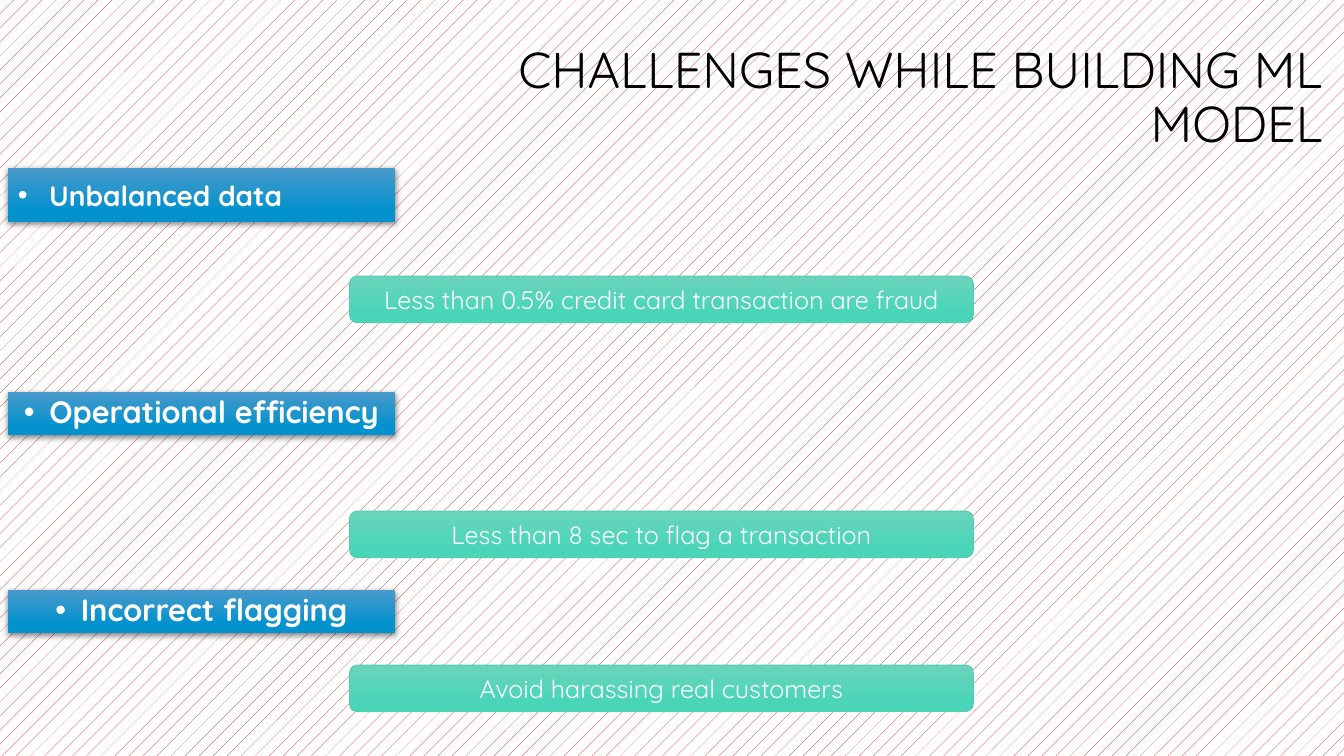
import pptx
import pptx.dml.color
import pptx.enum.dml
import pptx.enum.shapes
import pptx.enum.text
import pptx.oxml
import pptx.oxml.ns
import pptx.util

Cm = pptx.util.Cm
Pt = pptx.util.Pt
Shapes = pptx.enum.shapes.MSO_SHAPE
Align = pptx.enum.text.PP_ALIGN


def color(value):
    return pptx.dml.color.RGBColor.from_string(value)


def write(box, text, size, hue="FFFFFF", bold=False, align=Align.CENTER, spacing=1.0, indent=0):
    frame = box.text_frame
    frame.word_wrap = True
    frame.vertical_anchor = pptx.enum.text.MSO_ANCHOR.MIDDLE
    para = frame.paragraphs[0]
    para.alignment = align
    para.line_spacing = spacing
    if indent:
        properties = para._p.get_or_add_pPr()
        properties.set("marL", str(Cm(indent)))
        properties.set("indent", str(-Cm(indent)))
        for tag, name, value in (("buFont", "typeface", "Arial"), ("buChar", "char", "•")):
            bullet = pptx.oxml.parse_xml(f'<a:{tag} {pptx.oxml.ns.nsdecls("a")} {name}="{value}"/>')
            properties.append(bullet)
    span = para.add_run()
    span.text = text
    span.font.name = "Quicksand"
    span.font.size = Pt(size)
    span.font.bold = bold
    span.font.color.rgb = color(hue)


class ChallengeSlide:
    heading_gradient = ("4899CA", "0492CE")
    detail_gradient = ("6AD4BC", "4AD5B8")
    detail_line = "50CFB4"

    def __init__(self, deck):
        self.page = deck.slides.add_slide(deck.slide_layouts[6])

    def background(self, front, back):
        fill = self.page.background.fill
        fill.patterned()
        fill.pattern = pptx.enum.dml.MSO_PATTERN.PERCENT_5
        fill.fore_color.rgb = color(front)
        fill.back_color.rgb = color(back)

    def title(self, text):
        box = self.page.shapes.add_textbox(Cm(9.65), Cm(1.4), Cm(23.93), Cm(2.21))
        write(box, text, 36, hue="000000", align=Align.RIGHT, spacing=0.9)

    def panel(self, kind, left, top, width, height, gradient):
        box = self.page.shapes.add_shape(kind, Cm(left), Cm(top), Cm(width), Cm(height))
        box.shadow.inherit = False
        box.fill.gradient()
        box.fill.gradient_angle = 270
        for stop, position, hue in zip(box.fill.gradient_stops, (0, 0.78), gradient):
            stop.position = position
            stop.color.rgb = color(hue)
        return box

    def heading(self, text, top, height=1.09, size=22, **style):
        box = self.panel(Shapes.RECTANGLE, 0.2, top, 9.75, height, self.heading_gradient)
        box.line.fill.background()
        effects = box._element.spPr.find(pptx.oxml.ns.qn("a:effectLst"))
        effects.append(pptx.oxml.parse_xml(
            f'<a:outerShdw {pptx.oxml.ns.nsdecls("a")} blurRad="{Pt(4.5)}" dist="{Pt(1.5)}" '
            'dir="5400000" algn="ctr" rotWithShape="0">'
            '<a:srgbClr val="000000"><a:alpha val="48000"/></a:srgbClr></a:outerShdw>'))
        write(box, text, size, bold=True, **style)

    def detail(self, text, top):
        box = self.panel(Shapes.ROUNDED_RECTANGLE, 8.81, top, 15.72, 1.17, self.detail_gradient)
        box.line.color.rgb = color(self.detail_line)
        box.line.width = Pt(0.75)
        write(box, text, 18)


def main():
    deck = pptx.Presentation()
    deck.slide_width = Cm(33.87)
    deck.slide_height = Cm(19.05)
    slide = ChallengeSlide(deck)
    slide.background("C4220D", "FFFFFF")
    slide.title("CHALLENGES WHILE BUILDING ML MODEL")
    slide.heading("Unbalanced data", 4.24, height=1.35, size=20, align=Align.LEFT, indent=0.79)
    slide.detail("Less than 0.5% credit card transaction are fraud", 6.96)
    slide.heading("Operational efficiency", 9.88, spacing=0.9, indent=0.64)
    slide.detail("Less than 8 sec to flag a transaction", 12.88)
    slide.heading("Incorrect flagging", 14.86, spacing=0.9, indent=0.64)
    slide.detail("Avoid harassing real customers", 16.76)
    deck.save("out.pptx")


if __name__ == "__main__":
    main()
